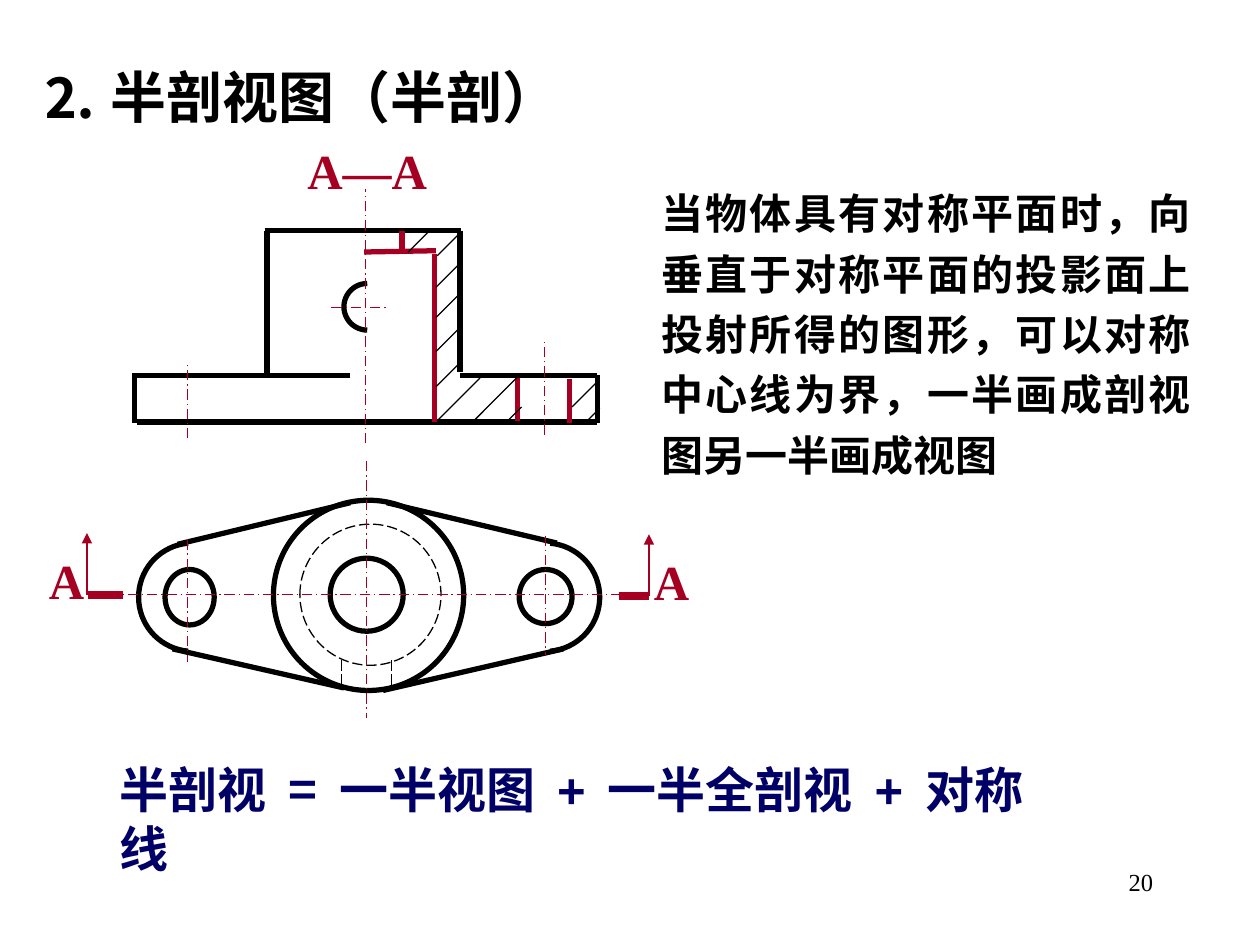
from math import cos, radians, sin
from lxml.etree import SubElement
from pptx import Presentation
from pptx.dml.color import RGBColor as RGB
from pptx.enum.dml import MSO_LINE as DASH
from pptx.enum.shapes import MSO_CONNECTOR as CONN, MSO_SHAPE as SHAPE
from pptx.enum.text import MSO_ANCHOR as ANCHOR, PP_ALIGN as ALIGN
from pptx.oxml.ns import qn
from pptx.util import Inches, Pt


class Theme:
    black = RGB(0, 0, 0)
    white = RGB(255, 255, 255)
    red = RGB(0xA5, 0x00, 0x21)
    navy = RGB(0x00, 0x00, 0x66)
    hans = "Noto Sans CJK SC"
    sans = "Arial"
    serif = "Times New Roman"
    title, sum, body, page = Pt(32), Pt(28), Pt(24), Pt(14)
    thin, bold, thick = Pt(0.75), Pt(3), Pt(4.5)


deck = Presentation()
deck.slide_width, deck.slide_height = Inches(10), Inches(7.5)
slide = deck.slides.add_slide(deck.slide_layouts[6])
shapes = slide.shapes


def write(text, box, size, color=Theme.black, font=Theme.hans, bold=True,
          align=ALIGN.LEFT, anchor=ANCHOR.TOP, wrap=True, lead=None, gap=0):
    frame = shapes.add_textbox(*map(Inches, box)).text_frame
    frame.word_wrap, frame.vertical_anchor = wrap, anchor
    para = frame.paragraphs[0]
    para.alignment, para.line_spacing = align, lead
    parts = text.replace(" ", "\n \n").split("\n") if gap else [text]
    for part in parts:
        run = para.add_run()
        run.text = part
        face = run.font
        face.name = Theme.sans if part == "+" else font
        face.size, face.bold = size, bold
        face.color.rgb = color
        props = run._r.get_or_add_rPr()
        SubElement(props, qn("a:ea"), typeface=face.name)
        if part == " ":
            props.set("spc", str(gap))


def draw(x1, y1, x2, y2, color=Theme.black, width=Theme.thin, dash=None, arrow=False):
    line = shapes.add_connector(CONN.STRAIGHT, *map(Inches, (x1, y1, x2, y2)))
    line.line.color.rgb, line.line.width = color, width
    if dash:
        line.line.dash_style = dash
    if arrow:
        SubElement(line.line._get_or_add_ln(), qn("a:tailEnd"), type="triangle")
    SubElement(line._element.spPr, qn("a:effectLst"))


write("20", (7.17, 6.83, 2.08, 0.5), Theme.page, font=Theme.serif, bold=False,
      align=ALIGN.RIGHT)
write("⒉ 半剖视图（半剖）", (0.23, 0.44, 4.51, 0.64), Theme.title, anchor=ANCHOR.MIDDLE)
write("当物体具有对称平面时，向垂直于对称平面的投影面上投射所得的图形，可以对称中心线为界，一半画成剖视图另一半画成视图",
      (5.15, 1.36, 4.4, 2.5), Theme.body, align=ALIGN.JUSTIFY, lead=1.2)
write("半剖视 = 一半视图 + 一半全剖视 + 对称线", (0.85, 5.98, 7.43, 0.57),
      Theme.sum, color=Theme.navy, gap=630)

front = [
    (1.09, 3.35, 4.74, 3.35), (1.07, 2.98, 2.78, 2.98), (3.65, 2.98, 4.74, 2.98),
    (4.74, 2.98, 4.74, 3.36), (1.07, 2.96, 1.07, 3.36), (2.12, 2.97, 2.12, 1.83),
    (2.1, 1.83, 3.66, 1.83), (3.65, 1.83, 3.65, 2.95),
]
for ends in front:
    draw(*ends, width=Theme.bold)

hole = shapes.add_shape(SHAPE.ARC, *map(Inches, (2.73, 2.25, 0.37, 0.37)))
hole.adjustments[0], hole.adjustments[1] = 54, 162
hole.shadow.inherit = False
hole.fill.background()
hole.line.color.rgb, hole.line.width = Theme.black, Theme.bold

cuts = [
    (2.89, 2, 3.46, 1.99), (3.19, 1.83, 3.19, 2), (3.45, 2.02, 3.45, 3.35),
    (4.11, 3, 4.11, 3.34), (4.52, 3.01, 4.52, 3.36),
]
for ends in cuts:
    draw(*ends, color=Theme.red, width=Theme.bold)

hatch = [
    (3.24, 2, 0.16), (3.47, 2.03, 0.17), (3.46, 2.28, 0.2), (3.46, 2.52, 0.19),
    (3.46, 2.79, 0.2), (3.46, 3.07, 0.2), (3.48, 3.33, 0.33), (3.75, 3.35, 0.35),
    (4.03, 3.34, 0.11), (4.54, 3.23, 0.19), (4.66, 3.34, 0.1),
]
for x, y, run in hatch:
    draw(x, y, x + run, y - run)

rings = [
    (2.17, 3.97, 1.51, 1.51, Theme.bold, None),
    (2.38, 4.16, 1.12, 1.12, Theme.thin, DASH.LONG_DASH),
    (1.31, 4.52, 0.39, 0.44, Theme.bold, None),
    (4.12, 4.52, 0.42, 0.43, Theme.bold, None),
    (2.62, 4.43, 0.58, 0.58, Theme.bold, None),
]
for *box, width, dash in rings:
    ring = shapes.add_shape(SHAPE.OVAL, *map(Inches, box))
    ring.shadow.inherit = False
    ring.fill.solid()
    ring.fill.fore_color.rgb = Theme.white
    ring.line.color.rgb, ring.line.width = Theme.black, width
    if dash:
        ring.line.dash_style = dash

for x, start in ((1.53, 95), (4.33, -85)):
    turns = [radians(start + step) for step in range(0, 171, 5)]
    dots = [(Inches(x + 0.43 * cos(t)), Inches(4.74 + 0.43 * sin(t))) for t in turns]
    pen = shapes.build_freeform(*dots[0])
    pen.add_line_segments(dots[1:], close=False)
    lug = pen.convert_to_shape()
    lug.shadow.inherit = False
    lug.fill.background()
    lug.line.color.rgb, lug.line.width = Theme.black, Theme.bold

sides = [
    (1.37, 5.15, 2.73, 5.46), (1.41, 4.32, 2.78, 3.99),
    (3.04, 5.48, 4.47, 5.15), (3.07, 3.99, 4.42, 4.31),
]
for ends in sides:
    draw(*ends, width=Theme.bold)
for x in (2.71, 3.11):
    draw(x, 5.24, x, 5.48, dash=DASH.LONG_DASH)

axes = [
    (1.49, 3.48, 1.49, 2.88), (4.32, 3.45, 4.32, 2.7), (2.63, 2.44, 3.07, 2.44),
    (2.9, 3.52, 2.9, 1.5), (1.49, 4.28, 1.49, 5.25), (4.33, 4.25, 4.33, 5.21),
    (0.86, 4.72, 5.04, 4.72), (2.91, 3.66, 2.91, 5.7),
]
for ends in axes:
    draw(*ends, color=Theme.red, dash=DASH.LONG_DASH_DOT)

for left, right, y, x in ((0.7, 0.98, 4.72, 0.69), (4.91, 5.15, 4.73, 5.15)):
    draw(left, y, right, y, color=Theme.red, width=Theme.thick)
    draw(x, y, x, y - 0.49, color=Theme.red, arrow=True)

marks = [("A", 0.29, 4.32, 0.48), ("A—A", 2.34, 1.07, 1.15), ("A", 5.09, 4.33, 0.48)]
for text, x, y, width in marks:
    write(text, (x, y, width, 0.57), Theme.sum, color=Theme.red, font=Theme.serif,
          wrap=False)

deck.save("out.pptx")
